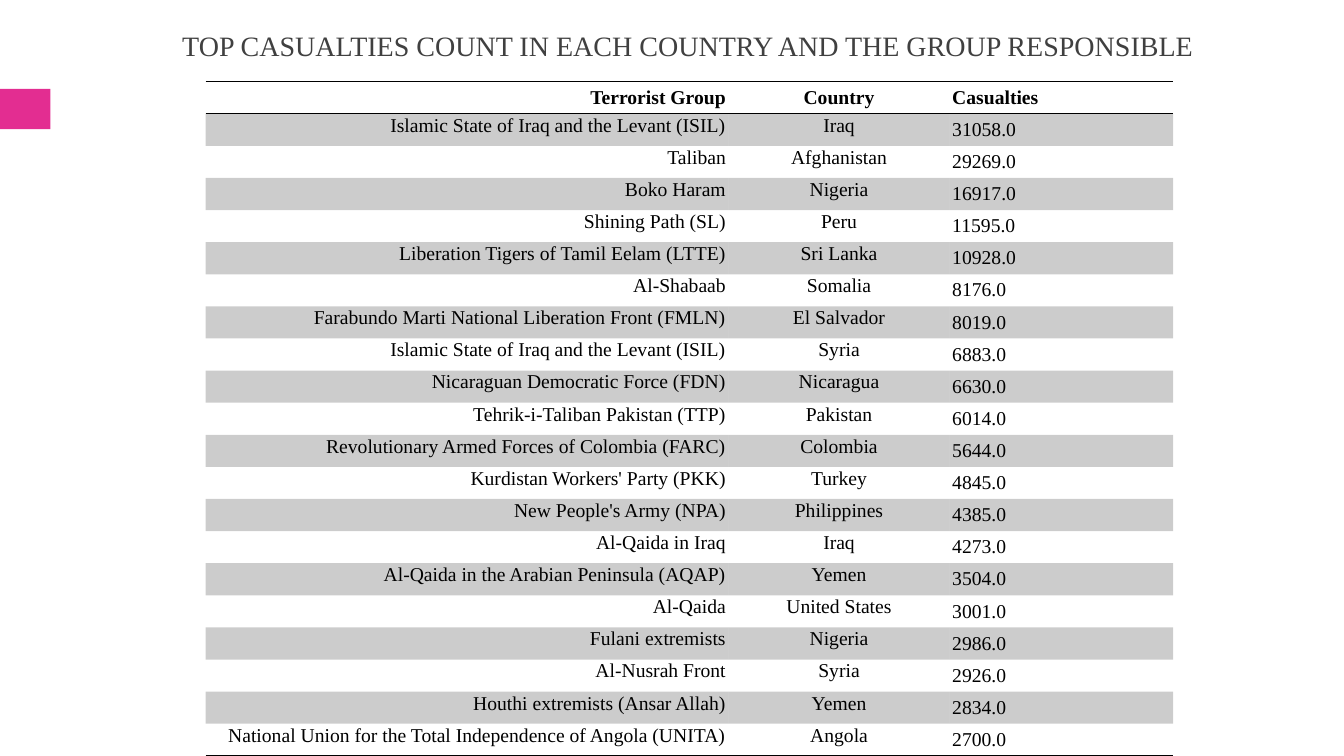
from lxml.etree import SubElement
from pptx import Presentation
from pptx.dml.color import RGBColor
from pptx.enum.shapes import MSO_SHAPE
from pptx.enum.text import MSO_ANCHOR, PP_ALIGN
from pptx.oxml.ns import qn
from pptx.util import Pt

TITLE = "TOP CASUALTIES COUNT IN EACH COUNTRY AND THE GROUP RESPONSIBLE"
HEADER = ("Terrorist Group", "Country", "Casualties")
RECORDS = [
    ("Islamic State of Iraq and the Levant (ISIL)", "Iraq", "31058.0"),
    ("Taliban", "Afghanistan", "29269.0"),
    ("Boko Haram", "Nigeria", "16917.0"),
    ("Shining Path (SL)", "Peru", "11595.0"),
    ("Liberation Tigers of Tamil Eelam (LTTE)", "Sri Lanka", "10928.0"),
    ("Al-Shabaab", "Somalia", "8176.0"),
    ("Farabundo Marti National Liberation Front (FMLN)", "El Salvador", "8019.0"),
    ("Islamic State of Iraq and the Levant (ISIL)", "Syria", "6883.0"),
    ("Nicaraguan Democratic Force (FDN)", "Nicaragua", "6630.0"),
    ("Tehrik-i-Taliban Pakistan (TTP)", "Pakistan", "6014.0"),
    ("Revolutionary Armed Forces of Colombia (FARC)", "Colombia", "5644.0"),
    ("Kurdistan Workers' Party (PKK)", "Turkey", "4845.0"),
    ("New People's Army (NPA)", "Philippines", "4385.0"),
    ("Al-Qaida in Iraq", "Iraq", "4273.0"),
    ("Al-Qaida in the Arabian Peninsula (AQAP)", "Yemen", "3504.0"),
    ("Al-Qaida", "United States", "3001.0"),
    ("Fulani extremists", "Nigeria", "2986.0"),
    ("Al-Nusrah Front", "Syria", "2926.0"),
    ("Houthi extremists (Ansar Allah)", "Yemen", "2834.0"),
    ("National Union for the Total Independence of Angola (UNITA)", "Angola", "2700.0"),
]
ROWS = [HEADER] + RECORDS

FONT = "Times New Roman"
BLACK = RGBColor(0x00, 0x00, 0x00)
TITLE_GREY = RGBColor(0x40, 0x40, 0x40)
PINK = RGBColor(0xE3, 0x2D, 0x91)
BAND_ALPHA = 20
NO_STYLE_NO_GRID = "{2D5ABB26-0587-4C30-8999-92F81FD0307C}"

SLIDE_WIDTH, SLIDE_HEIGHT = 960, 540
TABLE_LEFT, TABLE_TOP = 146.8, 58.3
COLUMN_WIDTHS = (373.7, 157.7, 159.8)
COLUMN_ALIGNS = (PP_ALIGN.RIGHT, PP_ALIGN.CENTER, PP_ALIGN.LEFT)
ROW_HEIGHT = (SLIDE_HEIGHT - TABLE_TOP) / len(ROWS)


def style_font(paragraph, size, color, bold=False):
    font = paragraph.font
    font.name, font.size, font.bold = FONT, Pt(size), bold
    font.color.rgb = color


def add_border(cell, edge):
    """Draw a 1 pt black rule on one edge, "lnT" or "lnB"; call before filling."""
    line = SubElement(cell._tc.get_or_add_tcPr(), qn(f"a:{edge}"), w=str(Pt(1)))
    SubElement(SubElement(line, qn("a:solidFill")), qn("a:srgbClr"), val=str(BLACK))


def fill_band(cell):
    """Fill the cell with translucent black."""
    cell.fill.solid()
    cell.fill.fore_color.rgb = BLACK
    color = cell._tc.tcPr.find(qn("a:solidFill")).find(qn("a:srgbClr"))
    SubElement(color, qn("a:alpha"), val=str(BAND_ALPHA * 1000))


def add_title(slide):
    box = slide.shapes.add_textbox(Pt(123.1), Pt(16.6), Pt(868.3), Pt(58.3))
    box.text_frame.word_wrap = True
    paragraph = box.text_frame.paragraphs[0]
    paragraph.text = TITLE
    style_font(paragraph, 20, TITLE_GREY)


def add_accent(slide):
    accent = slide.shapes.add_shape(MSO_SHAPE.RECTANGLE, 0, Pt(63.5), Pt(36), Pt(28.8))
    accent.shadow.inherit = False
    accent.fill.solid()
    accent.fill.fore_color.rgb = PINK
    accent.line.fill.background()


def add_casualty_table(slide):
    table = slide.shapes.add_table(
        len(ROWS), len(HEADER), Pt(TABLE_LEFT), Pt(TABLE_TOP),
        Pt(sum(COLUMN_WIDTHS)), Pt(ROW_HEIGHT * len(ROWS))).table
    table.horz_banding = False
    table._tbl.tblPr.find(qn("a:tableStyleId")).text = NO_STYLE_NO_GRID
    for column, width in zip(table.columns, COLUMN_WIDTHS):
        column.width = Pt(width)

    for r, record in enumerate(ROWS):
        table.rows[r].height = Pt(ROW_HEIGHT)
        is_header = r == 0
        for c, value in enumerate(record):
            cell = table.cell(r, c)
            cell.margin_left = cell.margin_right = Pt(2)
            cell.margin_top = cell.margin_bottom = Pt(0.7)
            centred = is_header or c == len(HEADER) - 1
            cell.vertical_anchor = MSO_ANCHOR.MIDDLE if centred else MSO_ANCHOR.TOP
            paragraph = cell.text_frame.paragraphs[0]
            paragraph.text = value
            paragraph.alignment = COLUMN_ALIGNS[c]
            style_font(paragraph, 14, BLACK, bold=is_header)
            if is_header:
                add_border(cell, "lnT")
            if is_header or r == len(RECORDS):
                add_border(cell, "lnB")
            if r % 2:
                fill_band(cell)
            else:
                cell.fill.background()


def main():
    deck = Presentation()
    deck.slide_width, deck.slide_height = Pt(SLIDE_WIDTH), Pt(SLIDE_HEIGHT)
    slide = deck.slides.add_slide(deck.slide_layouts[6])
    add_accent(slide)
    add_title(slide)
    add_casualty_table(slide)
    deck.save("out.pptx")


if __name__ == "__main__":
    main()
